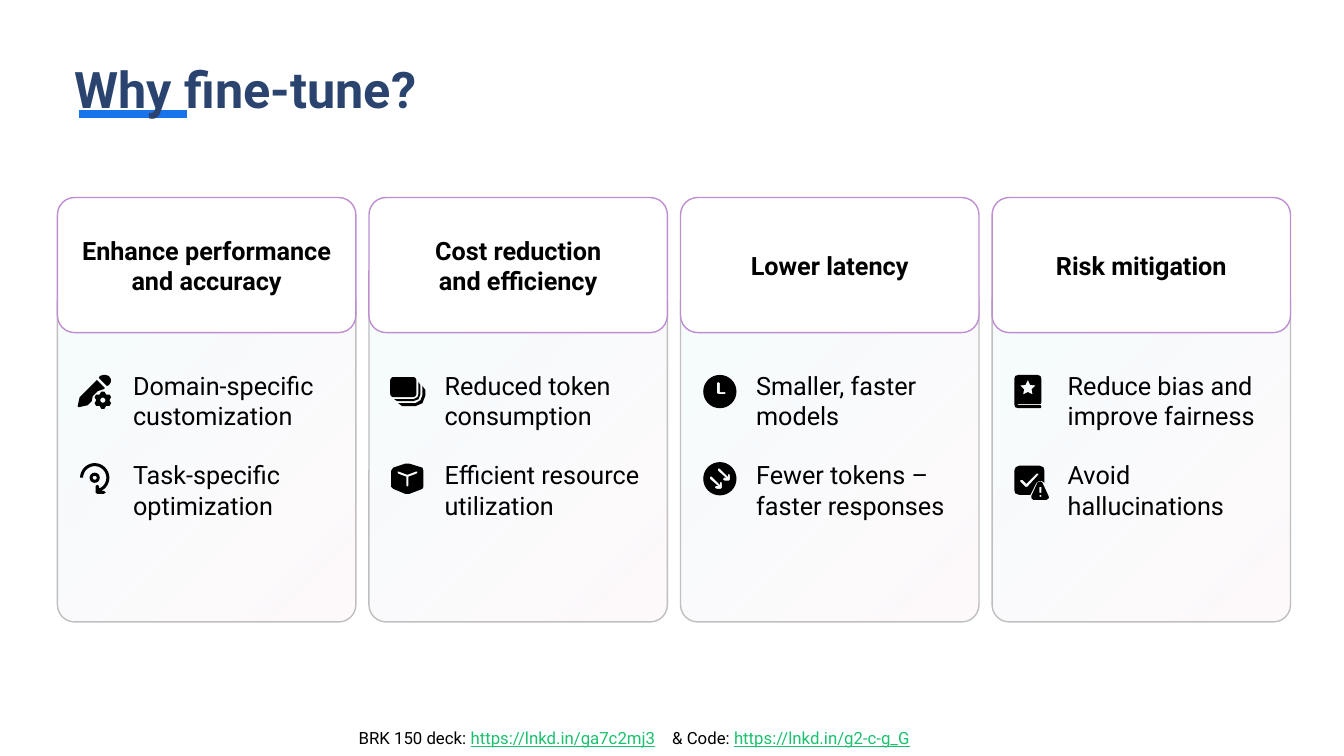
from itertools import product
from math import cos, radians, sin

from lxml.etree import SubElement
from pptx import Presentation
from pptx.dml.color import RGBColor
from pptx.enum.shapes import MSO_CONNECTOR as Connector, MSO_SHAPE as Preset
from pptx.enum.text import MSO_ANCHOR as Anchor, PP_ALIGN as Align
from pptx.oxml import parse_xml
from pptx.oxml.ns import nsdecls, qn
from pptx.util import Inches, Pt

CARD_LEFT, CARD_PITCH, CARD_WIDTH = 0.57, 3.09, 2.96
HEADER_TOP, HEADER_HEIGHT = 1.96, 1.34
BODY_TOP, BODY_HEIGHT = 2.82, 3.35
CORNER = 0.17
ICON_INSET, ICON_TOP, ICON_PITCH = 0.2, 3.72, 0.88
LINK = "1AC16E"


def arc(cx, cy, radii, start=0, end=360, steps=32):
    """Points at equal angles, with the radii taken in turn."""
    angles = [radians(start + (end - start) * i / steps) for i in range(steps + 1)]
    return [(cx + radii[i % len(radii)] * cos(a), cy + radii[i % len(radii)] * sin(a))
            for i, a in enumerate(angles)]


def round_box(x, y, width, height, r):
    corners = [(x + width - r, y + height - r), (x + r, y + height - r),
               (x + r, y + r), (x + width - r, y + r)]
    return [point for i, (cx, cy) in enumerate(corners)
            for point in arc(cx, cy, [r], 90 * i, 90 * i + 90, 6)]


ARROW = [(20, 18), (21, 19), (21, 24), (20, 25), (16, 25), (14, 24), (15, 22),
         (17, 22), (9, 15), (9, 13), (11, 13), (19, 21), (19, 19)]

# Outlines in hundredths of an inch; an outline inside another is a hole.
PEN_AND_GEAR = [
    [(19, 5), (27, 13), (26, 14), (20, 16), (15, 21), (14, 26), (11, 29), (10, 30),
     (1, 32), (0, 31), (2, 22), (3, 21)],
    [(22, 1), (25, 0), (28, 0), (31, 1), (33, 4), (33, 7), (31, 10), (29, 11), (21, 3)],
    arc(25, 25, [8.7, 8.7, 6.5], 20, 380, 18), arc(25, 25, [2.5])]
LOOP = [
    arc(17, 14, [14.5], 180, 425) + [(26, 27), (28, 28.5), (26, 30), (20, 30), (18, 29),
    (18, 22), (19.5, 21), (21, 22), (21, 24)] + arc(17, 14, [11.5], 420, 180),
    arc(17, 14, [5]), arc(17, 14, [2])]
STACK = [
    round_box(1, 2, 26, 20, 3.5),
    [(8, 26), (5, 24), (24, 24), (28, 22), (29, 19), (29, 7), (31, 10), (31, 19),
     (29, 24), (24, 26)],
    [(13, 31), (9, 28), (26, 28), (31, 25), (33, 20), (33, 11), (36, 15), (36, 20),
     (33, 28), (26, 31)]]
CUBE = [
    [(20, 0), (16, 0), (4, 4), (2, 7), (2, 23), (4, 25), (16, 30), (20, 30), (33, 25),
     (34, 23), (34, 7), (33, 4)],
    [(8, 8), (10, 8), (18, 11), (26, 8), (28, 8), (28, 9), (27, 10), (19, 13), (19, 22),
     (18, 23), (17, 22), (17, 13), (9, 10)]]
CLOCK = [
    arc(19, 16.5, [16.5]),
    [(24, 19), (18, 19), (16, 18), (16, 8), (17.5, 7), (19, 8), (19, 17), (24, 17), (25, 18)]]
ARROWS = [arc(19, 15, [16.5]), ARROW, [(x + 8, y - 8) for x, y in ARROW]]
BOOK = [
    [(2, 4), (3, 1), (6, 0), (25, 0), (28, 1), (29, 4), (29, 27), (28, 29), (5, 29),
     (6, 30), (28, 30), (29, 31.5), (28, 33), (6, 33), (3, 32), (2, 29)],
    arc(15.5, 13, [8, 4], -90, 270, 10)]
CHECK_WARNING = [
    [(27, 2), (31, 3.5), (32, 7), (32, 19), (29, 17), (27, 17), (24, 19), (18, 31),
     (7, 31), (3, 29.5), (2, 26), (2, 7), (3.5, 3.5), (7, 2)],
    [(24, 10), (14, 20), (10, 16), (8, 16), (8, 18), (13, 23), (15, 23), (26, 11), (26, 10)],
    [(25, 19), (28, 17.5), (30, 19), (36, 32), (36.5, 34), (34, 36), (21, 36), (19, 34), (19, 32)],
    round_box(27, 23, 2, 6, 0.5), arc(28, 32, [1])]

REASONS = [
    ("Enhance performance and accuracy",
     [("Domain-specific customization", PEN_AND_GEAR), ("Task-specific optimization", LOOP)]),
    ("Cost reduction\nand efficiency",
     [("Reduced token consumption", STACK), ("Efficient resource utilization", CUBE)]),
    ("Lower latency",
     [("Smaller, faster models", CLOCK), ("Fewer tokens – faster responses", ARROWS)]),
    ("Risk mitigation",
     [("Reduce bias and improve fairness", BOOK), ("Avoid hallucinations", CHECK_WARNING)]),
]


def color(hex_code):
    return RGBColor.from_string(hex_code)


def write(paragraph, text, size=18, ink="000000", bold=False, underline=False,
          align=Align.LEFT, tracking=0):
    paragraph.alignment = align
    for i, line in enumerate(text.split("\n")):
        if i:
            paragraph.add_line_break()
        run = paragraph.add_run()
        run.text = line
        font = run.font
        font.name, font.size, font.bold, font.underline = "Roboto", Pt(size), bold, underline
        font.color.rgb = color(ink)
        if tracking:
            run._r.get_or_add_rPr().set("spc", str(tracking * 100))


def add_panel(slide, left, top, height, outline):
    panel = slide.shapes.add_shape(Preset.ROUNDED_RECTANGLE, Inches(left), Inches(top),
                                   Inches(CARD_WIDTH), Inches(height))
    panel.adjustments[0] = CORNER / min(CARD_WIDTH, height)
    panel.shadow.inherit = False
    panel.fill.solid()
    panel.fill.fore_color.rgb = color("FFFFFF")
    panel.line.color.rgb = color(outline)
    panel.line.width = Pt(1)
    panel.text_frame.word_wrap = True
    return panel


def tint_from_corner(panel):
    """Fill with a faint glow that spreads from the lower right corner."""
    stops = "".join(
        f'<a:gs pos="{share * 1000}"><a:srgbClr val="{tint}"><a:alpha val="10000"/></a:srgbClr></a:gs>'
        for share, tint in [(0, "FFC6CC"), (80, "A9D5ED")])
    glow = parse_xml(f'<a:gradFill {nsdecls("a")} rotWithShape="1"><a:gsLst>{stops}</a:gsLst>'
                     '<a:path path="circle"><a:fillToRect l="100000" t="100000"/></a:path></a:gradFill>')
    solid = panel.element.spPr.find(qn("a:solidFill"))
    solid.getparent().replace(solid, glow)


def add_body(slide, left, benefits):
    body = add_panel(slide, left, BODY_TOP, BODY_HEIGHT, "BFBFBF")
    tint_from_corner(body)
    frame = body.text_frame
    frame.vertical_anchor = Anchor.TOP
    frame.margin_left = frame.margin_right = Inches(0.2)
    frame.margin_top, frame.margin_bottom = Inches(0.8), 0
    for i, benefit in enumerate(benefits):
        paragraph = frame.add_paragraph() if i else frame.paragraphs[0]
        paragraph._p.get_or_add_pPr().set("marL", str(Inches(0.5)))
        if i:
            paragraph.space_before = Pt(21)
        write(paragraph, benefit)


def add_header(slide, left, heading):
    header = add_panel(slide, left, HEADER_TOP, HEADER_HEIGHT, "BF8ED1")
    header.text_frame.vertical_anchor = Anchor.MIDDLE
    write(header.text_frame.paragraphs[0], heading, bold=True, align=Align.CENTER)


def add_icon(slide, left, top, outlines):
    fine = [[(x * 100, y * 100) for x, y in outline] for outline in outlines]
    builder = slide.shapes.build_freeform(*fine[0][0], scale=Inches(1) / 10000)
    for i, outline in enumerate(fine):
        if i:
            builder.move_to(*outline[0])
        builder.add_line_segments(outline[1:], close=True)
    icon = builder.convert_to_shape(Inches(left), Inches(top))
    icon.shadow.inherit = False
    icon.fill.solid()
    icon.fill.fore_color.rgb = color("000000")
    icon.line.fill.background()


def add_title(slide, text):
    title = slide.shapes.title
    title.left, title.top, title.width, title.height = map(Inches, (0.64, 0.53, 12.05, 0.61))
    title.text_frame.vertical_anchor = Anchor.TOP
    write(title.text_frame.paragraphs[0], text, size=36, ink="2A446F", bold=True)
    accent = slide.shapes.add_connector(Connector.STRAIGHT, *map(Inches, (0.78, 1.13, 1.85, 1.13)))
    accent.line.color.rgb = color("1973EB")
    accent.line.width = Pt(6)
    SubElement(accent.element.spPr, qn("a:effectLst"))
    title.element.addprevious(accent.element)


def add_sources(slide):
    box = slide.shapes.add_textbox(*map(Inches, (3.2, 7.17, 6.18, 0.3)))
    box.text_frame.word_wrap = True
    sources = box.text_frame.paragraphs[0]
    for text, style in [("BRK 150 deck: ", {}),
                        ("https://lnkd.in/ga7c2mj3", {"ink": LINK, "underline": True}),
                        (" ", {"tracking": 9}),
                        ("& Code: ", {}),
                        ("https://lnkd.in/g2-c-g_G", {"ink": LINK, "underline": True})]:
        write(sources, text, size=12, align=Align.CENTER, **style)


def main():
    deck = Presentation()
    deck.slide_width, deck.slide_height = Inches(13.33), Inches(7.5)
    slide = deck.slides.add_slide(deck.slide_layouts[5])
    add_title(slide, "Why fine-tune?")
    lefts = [CARD_LEFT + CARD_PITCH * column for column in range(len(REASONS))]
    for left, (heading, benefits) in zip(lefts, REASONS):
        add_body(slide, left, [text for text, _ in benefits])
        add_header(slide, left, heading)
    for column, row in product(range(len(REASONS)), range(2)):
        add_icon(slide, lefts[column] + ICON_INSET, ICON_TOP + ICON_PITCH * row,
                 REASONS[column][1][row][1])
    add_sources(slide)
    deck.save("out.pptx")


if __name__ == "__main__":
    main()
